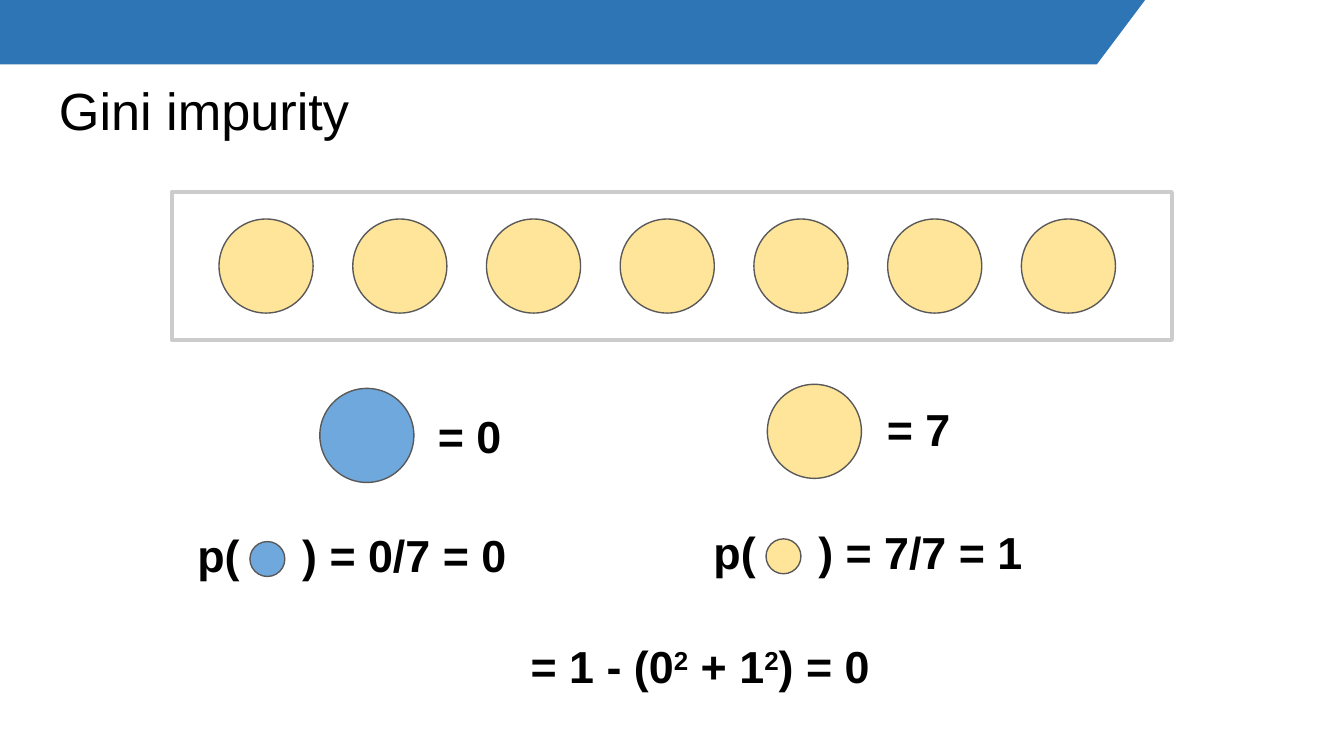
from pptx import Presentation
from pptx.dml.color import RGBColor
from pptx.enum.shapes import MSO_SHAPE
from pptx.enum.text import MSO_ANCHOR
from pptx.oxml import parse_xml
from pptx.oxml.ns import nsdecls
from pptx.util import Inches, Pt

COLORS = {
    "banner": "2E75B5",
    "frame": "CCCCCC",
    "outline": "595959",
    "yellow": "FFE599",
    "blue": "6FA8DC",
    "text": "000000",
}
TITLE_FONT = {"name": "Arial", "size": Pt(28), "bold": False}
FORMULA_FONT = {"name": "Arial", "size": Pt(24), "bold": True}
SUPERSCRIPT = "30000"
DOT = 0.7
SMALL_DOT = 0.26


def add_figure(kind, box, fill=None, line=None, line_width=0.75):
    shape = slide.shapes.add_shape(kind, *map(Inches, box))
    shape.shadow.inherit = False
    if fill:
        shape.fill.solid()
        shape.fill.fore_color.rgb = RGBColor.from_string(COLORS[fill])
    else:
        shape.fill.background()
    if line:
        shape.line.color.rgb = RGBColor.from_string(COLORS[line])
        shape.line.width = Pt(line_width)
    else:
        shape.line.fill.background()
    return shape


def add_text(box, pieces, font_format, anchor=MSO_ANCHOR.TOP):
    """Write (text, is_superscript) pieces as one paragraph and return it."""
    frame = slide.shapes.add_textbox(*map(Inches, box)).text_frame
    frame_format = {"word_wrap": True, "vertical_anchor": anchor}
    for side in ("left", "top", "right", "bottom"):
        frame_format[f"margin_{side}"] = Inches(0.1)
    for name, value in frame_format.items():
        setattr(frame, name, value)
    paragraph = frame.paragraphs[0]
    for text, is_superscript in pieces:
        run = paragraph.add_run()
        run.text = text
        for name, value in font_format.items():
            setattr(run.font, name, value)
        run.font.color.rgb = RGBColor.from_string(COLORS["text"])
        if is_superscript:
            run._r.get_or_add_rPr().set("baseline", SUPERSCRIPT)
    return paragraph


# Widescreen 16:9 slide
presentation = Presentation()
presentation.slide_width = Inches(10)
presentation.slide_height = Inches(10 * 9 / 16)
slide = presentation.slides.add_slide(presentation.slide_layouts[6])

# Banner and title
banner = add_figure(MSO_SHAPE.TRAPEZOID, (-0.9, 0, 9.42, 0.48), "banner")
banner.rotation = 180
banner.adjustments[0] = 0.75
add_text((0.34, 0.48, 9.32, 0.63), [("Gini impurity", False)], TITLE_FONT)

# Framed row of seven samples
add_figure(MSO_SHAPE.RECTANGLE, (1.28, 1.43, 7.44, 1.1), None, "frame", 2.25)
first_left, last_left, samples = 1.63, 7.6, 7
pitch = (last_left - first_left) / (samples - 1)
for index in range(samples):
    left = first_left + index * pitch
    add_figure(MSO_SHAPE.OVAL, (left, 1.63, DOT, DOT), "yellow", "outline")

# Count and probability of each class
classes = [
    # colour, count, count dot, count text box, probability place, probability
    ("blue", "= 0", (2.38, 2.89), (3.16, 2.94, 0.91, 0.5), (1.37, 3.81), ") = 0/7 = 0"),
    ("yellow", "= 7", (5.71, 2.86), (6.5, 2.89, 0.77, 0.5), (5.21, 3.79), ") = 7/7 = 1"),
]
for color, count, dot, count_box, (left, top), probability in classes:
    add_figure(MSO_SHAPE.OVAL, (*dot, DOT, DOT), color, "outline")
    add_text(count_box, [(count, False)], FORMULA_FONT)

    paragraph = add_text((left, top, 3.28, 0.63), [("p(\t" + probability, False)],
                         FORMULA_FONT, MSO_ANCHOR.MIDDLE)
    # The tab stop leaves room for the small dot between the brackets
    paragraph._p.get_or_add_pPr().append(parse_xml(
        f'<a:tabLst {nsdecls("a")}><a:tab pos="{Inches(0.78)}" algn="l"/></a:tabLst>'))
    add_figure(MSO_SHAPE.OVAL, (left + 0.49, top + 0.22, SMALL_DOT, SMALL_DOT),
               color, "outline")

# Resulting impurity
impurity = [("= 1 - (0", False), ("2", True), (" + 1", False), ("2", True),
            (") = 0", False)]
add_text((3.85, 4.64, 4.42, 0.63), impurity, FORMULA_FONT, MSO_ANCHOR.MIDDLE)

presentation.save("out.pptx")
